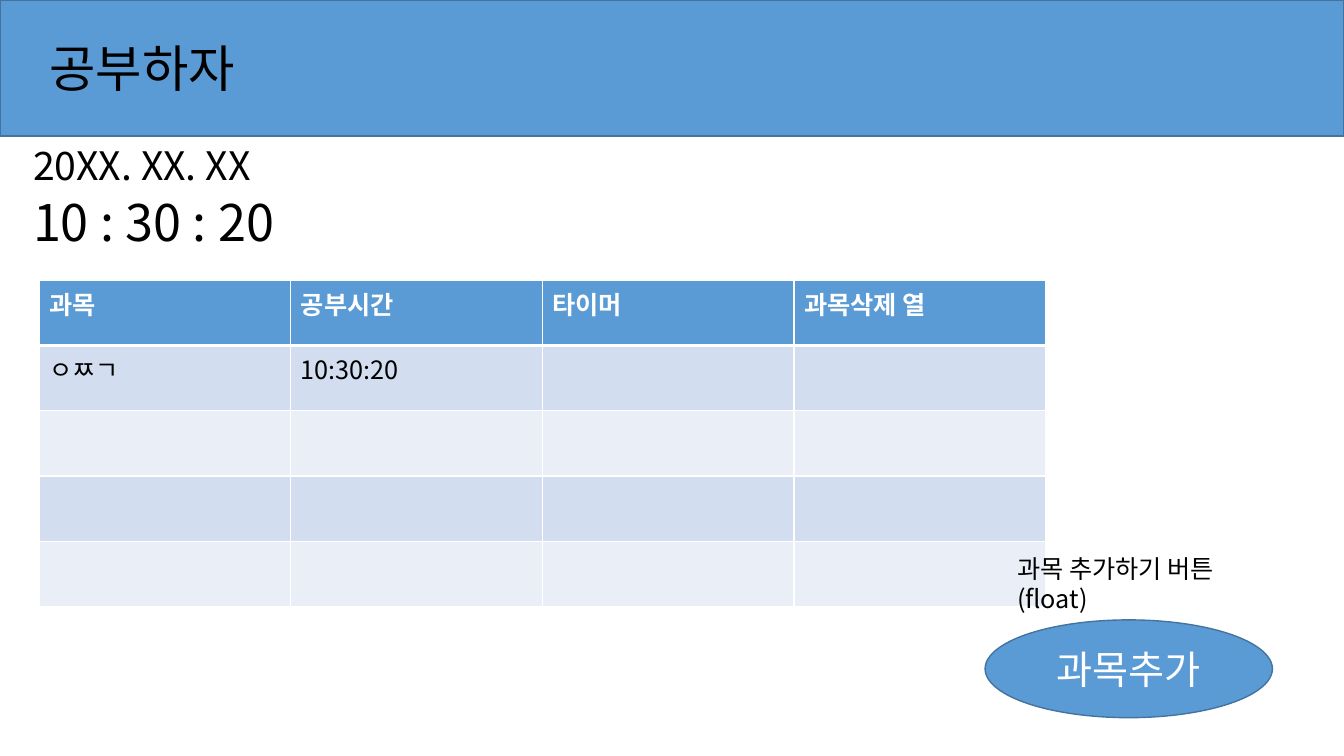
from dataclasses import dataclass

from lxml.etree import SubElement
from pptx import Presentation
from pptx.dml.color import RGBColor
from pptx.enum.shapes import MSO_SHAPE
from pptx.enum.text import MSO_ANCHOR, MSO_AUTO_SIZE, PP_ALIGN
from pptx.oxml.ns import qn
from pptx.util import Inches, Pt


@dataclass(frozen=True)
class Theme:
    """Colours, type sizes and font of the slide."""
    accent: str = "5B9BD5"
    outline: str = "43739E"
    band_dark: str = "D2DEEF"
    band_light: str = "EAEFF7"
    white: str = "FFFFFF"
    black: str = "000000"
    font: str = "Noto Sans CJK KR"
    large: int = 36
    medium: int = 28
    body: int = 18


THEME = Theme()


def add_run(paragraph, text, size, color, bold=False):
    """Add one styled run, with the font set for Latin and Korean letters."""
    run = paragraph.add_run()
    run.text = text
    run.font.name = THEME.font
    run.font.size = Pt(size)
    run.font.bold = bold
    run.font.color.rgb = RGBColor.from_string(color)
    east_asian = SubElement(run.font._element, qn("a:ea"))
    east_asian.set("typeface", THEME.font)


def add_label(slide, left, top, width, height, lines, size):
    """Place a text box that holds one paragraph per line."""
    box = slide.shapes.add_textbox(Inches(left), Inches(top), Inches(width), Inches(height))
    frame = box.text_frame
    frame.word_wrap = False
    frame.auto_size = MSO_AUTO_SIZE.SHAPE_TO_FIT_TEXT
    for index, line in enumerate(lines):
        paragraph = frame.add_paragraph() if index else frame.paragraphs[0]
        add_run(paragraph, line, size, THEME.black)


def add_filled_shape(slide, kind, left, top, width, height):
    """Place an accent-filled shape with a thin outline."""
    shape = slide.shapes.add_shape(kind, Inches(left), Inches(top), Inches(width), Inches(height))
    shape.shadow.inherit = False
    shape.fill.solid()
    shape.fill.fore_color.rgb = RGBColor.from_string(THEME.accent)
    shape.line.color.rgb = RGBColor.from_string(THEME.outline)
    shape.line.width = Pt(1)
    return shape


def add_header(slide, left, top, width, height):
    """Draw the title bar."""
    add_filled_shape(slide, MSO_SHAPE.RECTANGLE, left, top, width, height)
    add_label(slide, left + 0.39, top + 0.32, 2.22, 0.71, ["공부하자"], THEME.large)


def add_clock(slide, left, top):
    """Place the date above the running time."""
    add_label(slide, left, top, 2.53, 0.57, ["20XX. XX. XX"], THEME.medium)
    add_label(slide, left, top + 0.5, 2.8, 0.71, ["10 : 30 : 20"], THEME.large)


def style_cell(cell, fill, bottom_width):
    """Fill a cell and give it white borders."""
    properties = cell._tc.get_or_add_tcPr()
    for side, width in (("lnL", 1), ("lnR", 1), ("lnT", 1), ("lnB", bottom_width)):
        line = SubElement(properties, qn(f"a:{side}"), w=str(Pt(width)))
        solid = SubElement(line, qn("a:solidFill"))
        SubElement(solid, qn("a:srgbClr"), val=THEME.white)
    cell.fill.solid()
    cell.fill.fore_color.rgb = RGBColor.from_string(fill)


def add_subject_table(slide, left, top, width, height):
    """Draw the subject table with a header row and banded rows."""
    rows = [["과목", "공부시간", "타이머", "과목삭제 열"], ["ㅇㅉㄱ", "10:30:20", "", ""]]
    rows += [[""] * 4 for _ in range(3)]
    table = slide.shapes.add_table(
        len(rows), 4, Inches(left), Inches(top), Inches(width), Inches(height)
    ).table
    for row_index, row in enumerate(rows):
        is_header = row_index == 0
        band = THEME.band_dark if row_index % 2 else THEME.band_light
        for column_index, text in enumerate(row):
            cell = table.cell(row_index, column_index)
            style_cell(cell, THEME.accent if is_header else band, 3 if is_header else 1)
            if text:
                color = THEME.white if is_header else THEME.black
                add_run(cell.text_frame.paragraphs[0], text, THEME.body, color, is_header)


def add_subject_button(slide, left, top, width, height):
    """Draw the add button with its note above."""
    button = add_filled_shape(slide, MSO_SHAPE.OVAL, left, top, width, height)
    frame = button.text_frame
    frame.vertical_anchor = MSO_ANCHOR.MIDDLE
    frame.paragraphs[0].alignment = PP_ALIGN.CENTER
    add_run(frame.paragraphs[0], "과목추가", THEME.medium, THEME.white)
    note = ["과목 추가하기 버튼", "(float)"]
    add_label(slide, left + 0.22, top - 0.71, 2.4, 0.71, note, THEME.body)


def main():
    """Build and save the slide."""
    presentation = Presentation()
    presentation.slide_width = Inches(13.33)
    presentation.slide_height = Inches(7.5)
    slide = presentation.slides.add_slide(presentation.slide_layouts[6])
    add_header(slide, 0, 0, 13.33, 1.35)
    add_subject_table(slide, 0.39, 2.78, 9.98, 3.24)
    add_clock(slide, 0.23, 1.35)
    add_subject_button(slide, 9.77, 6.15, 2.85, 0.97)
    presentation.save("out.pptx")


if __name__ == "__main__":
    main()
